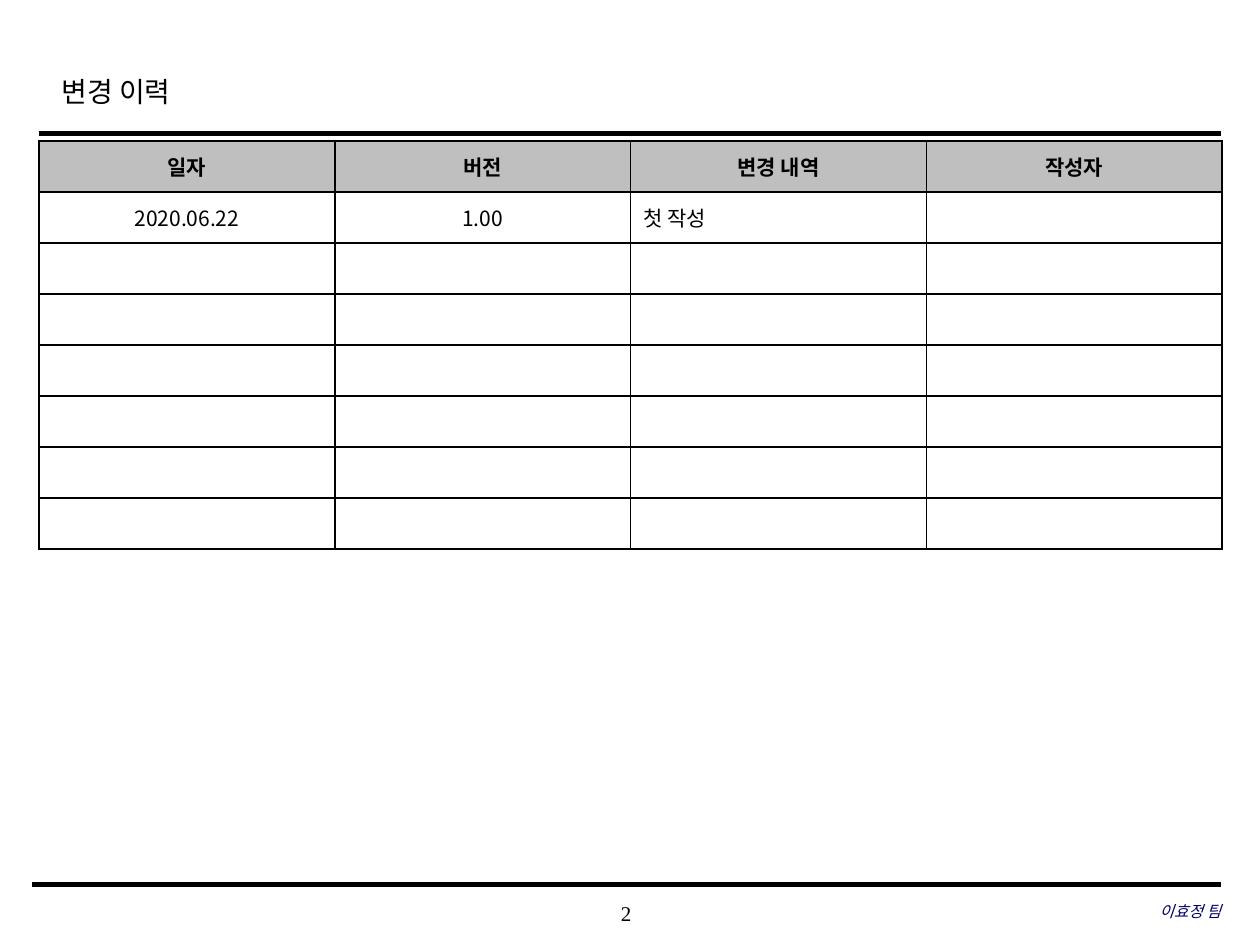
from lxml.etree import SubElement
from pptx import Presentation
from pptx.dml.color import RGBColor
from pptx.enum.shapes import MSO_CONNECTOR
from pptx.enum.text import MSO_ANCHOR as Anchor, PP_ALIGN as Align
from pptx.oxml.ns import qn
from pptx.util import Inches, Pt

SERIF = "Times New Roman"
KOREAN = "Noto Sans CJK KR"
BLACK = "000000"
HEADERS = ["일자", "버전", "변경 내역", "작성자"]
FIRST_ENTRY = ["2020.06.22", "1.00", "첫 작성", ""]
ROW_COUNT = 8
ROW_HEIGHT = 0.405


def color(value):
    return RGBColor.from_string(value)


def style_text(para, size, font, text_color=BLACK, bold=False, italic=False):
    for span in para.runs:
        span.font.size = Pt(size)
        span.font.bold = bold
        span.font.italic = italic
        span.font.color.rgb = color(text_color)
        span.font.name = font
        SubElement(span.font._element, qn("a:ea"), typeface=KOREAN)


def add_text(page, text, left, top, width, height, align, size,
             text_color=BLACK, italic=False):
    box = page.shapes.add_textbox(
        Inches(left), Inches(top), Inches(width), Inches(height))
    frame = box.text_frame
    frame.word_wrap = True
    frame.text = text
    para = frame.paragraphs[0]
    para.alignment = align
    style_text(para, size, SERIF, text_color, italic=italic)
    return frame


def add_footer_text(page, *args, **options):
    frame = add_text(page, *args, **options)
    frame.vertical_anchor = Anchor.MIDDLE
    frame.margin_left = frame.margin_right = 0
    frame.margin_top = frame.margin_bottom = 0


def add_rule(page, left, right, top, weight):
    rule = page.shapes.add_connector(
        MSO_CONNECTOR.STRAIGHT,
        Inches(left), Inches(top), Inches(right), Inches(top))
    rule.line.color.rgb = color(BLACK)
    rule.line.width = Pt(weight)
    SubElement(rule._element.spPr, qn("a:effectLst"))


def add_borders(cell):
    properties = cell._tc.get_or_add_tcPr()
    for side in ("lnL", "lnR", "lnT", "lnB"):
        line = SubElement(properties, qn(f"a:{side}"), w=str(Pt(1)))
        fill = SubElement(line, qn("a:solidFill"))
        SubElement(fill, qn("a:srgbClr"), val=BLACK)


def fill_cell(cell, text, align, is_header):
    add_borders(cell)
    cell.fill.solid()
    cell.fill.fore_color.rgb = color("BFBFBF" if is_header else "FFFFFF")
    cell.vertical_anchor = Anchor.MIDDLE
    para = cell.text_frame.paragraphs[0]
    if text:
        para.text = text
        para.alignment = align
        style_text(para, 12, KOREAN, bold=is_header)
    else:
        para._p.get_or_add_endParaRPr().set("sz", "1200")


def add_history_table(page):
    table = page.shapes.add_table(
        ROW_COUNT, len(HEADERS), Inches(0.31), Inches(1.12),
        Inches(9.39), Inches(ROW_COUNT * ROW_HEIGHT)).table
    blank_rows = [[""] * len(HEADERS)] * (ROW_COUNT - 2)
    for row, texts in enumerate([HEADERS, FIRST_ENTRY, *blank_rows]):
        table.rows[row].height = Inches(ROW_HEIGHT)
        for column, text in enumerate(texts):
            is_header = row == 0
            align = Align.CENTER if is_header or column < 2 else Align.LEFT
            fill_cell(table.cell(row, column), text, align, is_header)


def main():
    deck = Presentation()
    deck.slide_width, deck.slide_height = Inches(10), Inches(7.5)
    page = deck.slides.add_slide(deck.slide_layouts[6])
    add_footer_text(page, "2", 3.93, 7.08, 2.08, 0.33, Align.CENTER, 12)
    add_rule(page, 0.31, 9.69, 1.06, 2.5)
    add_rule(page, 0.25, 9.69, 7.02, 3)
    title = add_text(page, "변경 이력", 0.39, 0.49, 7.55, 0.5, Align.LEFT, 16)
    title.paragraphs[0].line_spacing = 1.2
    add_footer_text(page, "이효정 팀", 6.63, 7.07, 3.06, 0.33, Align.RIGHT, 9,
                    text_color="000066", italic=True)
    add_history_table(page)
    deck.save("out.pptx")


if __name__ == "__main__":
    main()
